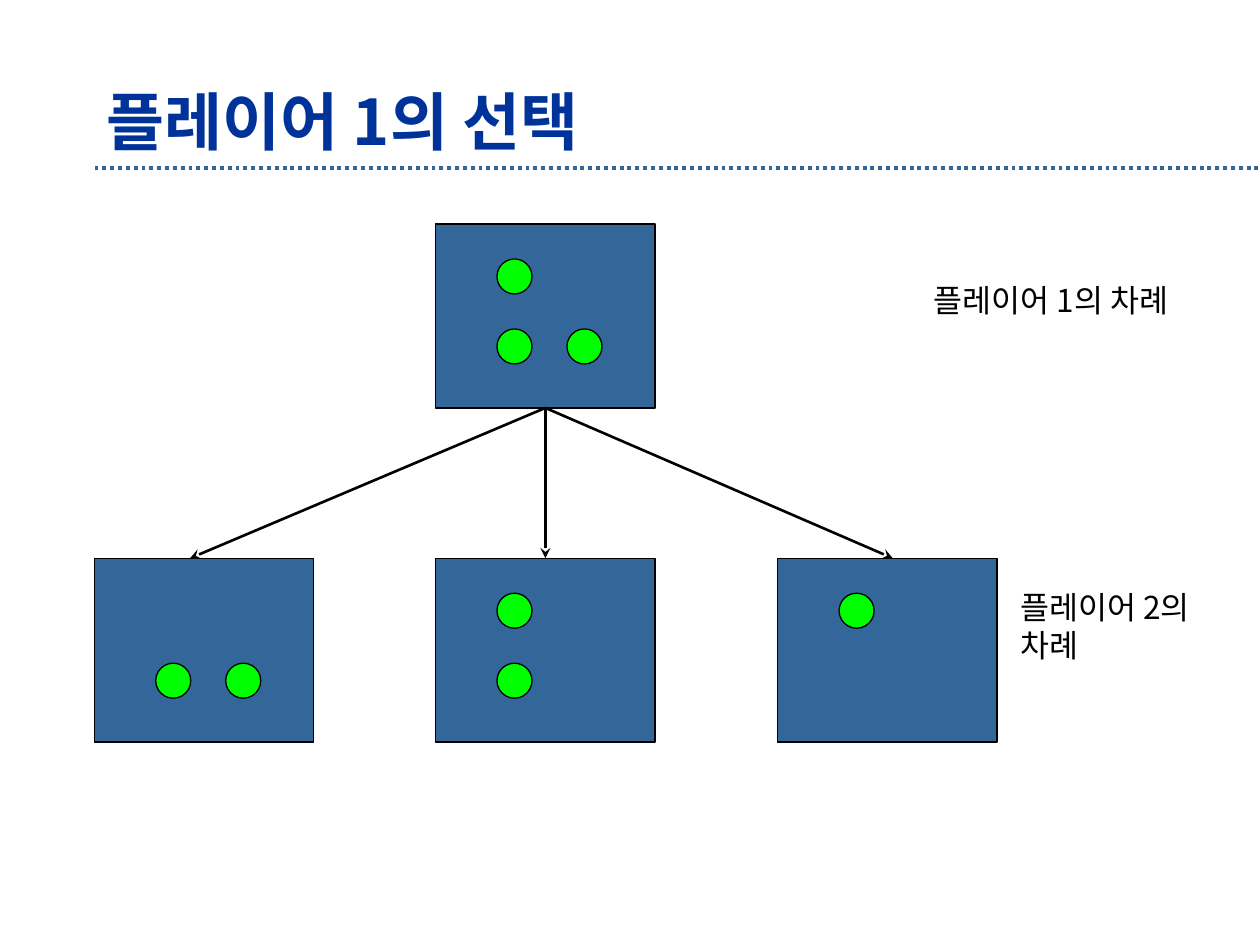
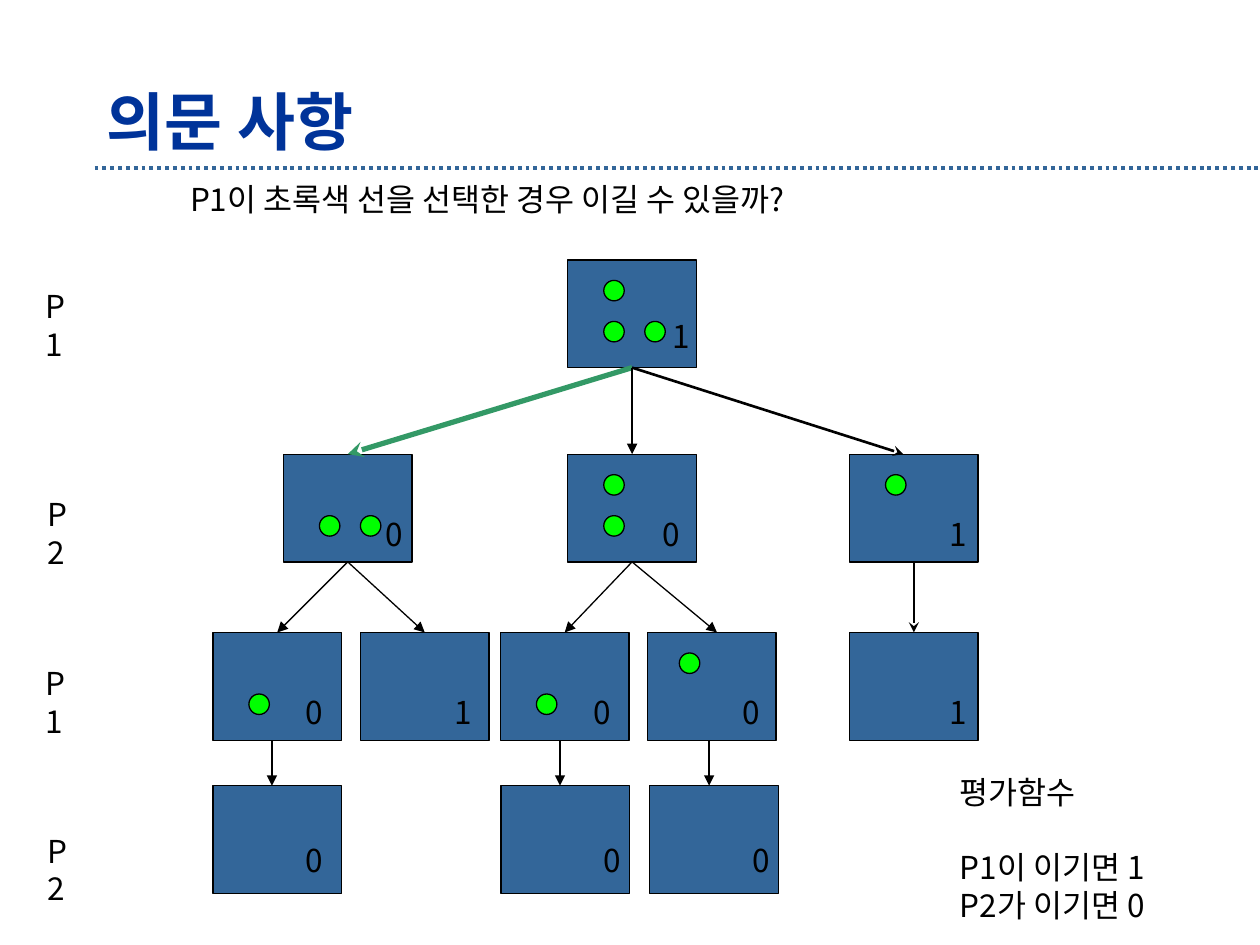
from lxml import etree
from pptx import Presentation
from pptx.dml.color import RGBColor
from pptx.enum.dml import MSO_LINE
from pptx.enum.shapes import MSO_CONNECTOR, MSO_SHAPE
from pptx.enum.text import MSO_ANCHOR
from pptx.oxml.ns import qn
from pptx.util import Pt

RECT, OVAL = MSO_SHAPE.RECTANGLE, MSO_SHAPE.OVAL
LINE = MSO_CONNECTOR.STRAIGHT
DOTS = MSO_LINE.ROUND_DOT
MIDDLE, TOP = MSO_ANCHOR.MIDDLE, MSO_ANCHOR.TOP

BLACK = RGBColor(0x00, 0x00, 0x00)
NAVY = RGBColor(0x00, 0x33, 0x99)
STEEL = RGBColor(0x33, 0x66, 0x99)
LIME = RGBColor(0x00, 0xFF, 0x00)
GREEN = RGBColor(0x33, 0x99, 0x66)

FONT = "Noto Sans CJK KR"
HEAD = {"name": FONT, "size": Pt(36), "bold": True}
BODY = {"name": FONT, "size": Pt(18), "bold": False}

# Board measures at full scale; stones sit on a grid of (column, row)
WIDE, HIGH = 125.3, 105.1
STONE, STEP = 20, 40
LEFT, DOWN = 35, 20

# Boards: name: (x, y, stones, score), score: (text, dx, dy)
# Arrows: (from, to, shift at start, shift at end, colour, weight, head)
# Texts: (x, y, width, height, lines)
SLIDES = [
    {
        "title": "플레이어 1의 선택",
        "scale": 1,
        "boards": {
            "root": (249, 128, [(0, 0), (0, 1), (1, 1)], None),
            "left": (54, 319, [(0, 1), (1, 1)], None),
            "mid": (249, 319, [(0, 0), (0, 1)], None),
            "right": (444.5, 319, [(0, 0)], None),
        },
        "arrows": [
            ("root", "left", 0, -8, BLACK, 1.5, "stealth"),
            ("root", "mid", 0, 0, BLACK, 1.5, "stealth"),
            ("root", "right", 0, 3, BLACK, 1.5, "stealth"),
        ],
        "texts": [
            (526.5, 157, 159, 29, ["플레이어 1의 차례"]),
            (576, 332.5, 126, 50, ["플레이어 2의", "차례"]),
        ],
    },
    {
        "title": "의문 사항",
        "scale": 0.586,
        "boards": {
            "root": (324.5, 148.5, [(0, 0), (0, 1), (1, 1)], ("1", 52.5, 29)),
            "left": (162, 259.5, [(0, 1), (1, 1)], ("0", 51, 31)),
            "mid": (324.5, 259.5, [(0, 0), (0, 1)], ("0", 47, 31)),
            "right": (485.5, 259.5, [(0, 0)], ("1", 50, 31)),
            "left a": (121.7, 361.4, [(0, 1)], ("0", 46, 31)),
            "left b": (206, 361.4, [], ("1", 46.5, 31)),
            "mid a": (286, 361.4, [(0, 1)], ("0", 46, 31)),
            "mid b": (370, 361.4, [(-0.1, 0)], ("0", 47, 31)),
            "right a": (485.5, 361.4, [], ("1", 50, 31)),
            "left end": (121.7, 449, [], ("0", 46, 28)),
            "mid end": (286.3, 449, [], ("0", 51.5, 28)),
            "last end": (371.3, 449, [], ("0", 51.5, 28)),
        },
        "arrows": [
            ("root", "left", 0, 0, GREEN, 3, "stealth"),
            ("root", "mid", 0, 0, BLACK, 1.5, "triangle"),
            ("root", "right", 0, -6, BLACK, 1.5, "stealth"),
            ("left", "left a", 0, 0, BLACK, 0.75, "triangle"),
            ("left", "left b", 0, 0, BLACK, 0.75, "triangle"),
            ("mid", "mid a", 0, 0, BLACK, 0.75, "triangle"),
            ("mid", "mid b", 0, 3, BLACK, 0.75, "triangle"),
            ("right", "right a", 0, 0, BLACK, 1.5, "stealth"),
            ("left a", "left end", -3, -3, BLACK, 0.75, "triangle"),
            ("mid a", "mid end", -2.7, -3, BLACK, 0.75, "triangle"),
            ("mid b", "last end", -1.5, -2.8, BLACK, 0.75, "triangle"),
        ],
        "texts": [
            (18.7, 160.5, 35.3, 29, ["P1"]),
            (20, 279.5, 35.3, 29, ["P2"]),
            (18.7, 376, 35.3, 29, ["P1"]),
            (20, 471.6, 35.3, 29, ["P2"]),
            (541.5, 438, 130, 94, ["평가함수", "P1이 이기면 1", "P2가 이기면 0"]),
            (101.5, 99.4, 368.6, 29, ["P1이 초록색 선을 선택한 경우 이길 수 있을까?"]),
        ],
    },
]


def write(slide, x, y, w, h, lines, form=BODY, color=BLACK, anchor=TOP):
    box = slide.shapes.add_textbox(Pt(x), Pt(y), Pt(w), Pt(h))
    frame = box.text_frame
    frame.word_wrap = True
    frame.vertical_anchor = anchor
    for i, line in enumerate(lines):
        par = frame.paragraphs[0] if i == 0 else frame.add_paragraph()
        # Three lines make a heading, a gap and two rules
        if len(lines) == 3 and i == 1:
            par.space_before = Pt(21.6)
        run = par.add_run()
        run.text = line
        for key, value in form.items():
            setattr(run.font, key, value)
        run.font.color.rgb = color
        east = etree.SubElement(run.font._element, qn("a:ea"))
        east.set("typeface", FONT)


def draw(slide, x1, y1, x2, y2, color, weight):
    """Add a straight line without a shadow."""
    line = slide.shapes.add_connector(LINE, Pt(x1), Pt(y1), Pt(x2), Pt(y2))
    line.line.color.rgb = color
    line.line.width = Pt(weight)
    etree.SubElement(line._element.spPr, qn("a:effectLst"))
    return line


deck = Presentation()
deck.slide_width, deck.slide_height = Pt(720), Pt(540)

for data in SLIDES:
    slide = deck.slides.add_slide(deck.slide_layouts[6])
    rule = draw(slide, 54, 96, 720, 96, STEEL, 2.25)
    rule.line.dash_style = DOTS
    write(slide, 54, 48, 618, 42, [data["title"]], HEAD, NAVY, MIDDLE)

    scale = data["scale"]
    wide, high, size = WIDE * scale, HIGH * scale, STONE * scale
    boards = {}
    for name, (x, y, stones, score) in data["boards"].items():
        parts = [(RECT, x, y, wide, high, STEEL)]
        for col, row in stones:
            left = x + (LEFT + col * STEP) * scale
            top = y + (DOWN + row * STEP) * scale
            parts.append((OVAL, left, top, size, size, LIME))
        for kind, left, top, w, h, fill in parts:
            part = slide.shapes.add_shape(kind, Pt(left), Pt(top), Pt(w), Pt(h))
            part.shadow.inherit = False
            part.fill.solid()
            part.fill.fore_color.rgb = fill
            part.line.color.rgb = BLACK
            part.line.width = Pt(0.75)
            if kind == RECT:
                boards[name] = part
        if score:
            text, dx, dy = score
            write(slide, x + dx, y + dy, 24.5, 29, [text])

    for start, end, out, into, color, weight, head in data["arrows"]:
        x1, y1 = data["boards"][start][:2]
        x2, y2 = data["boards"][end][:2]
        arrow = draw(slide, x1 + wide / 2 + out, y1 + high,
                     x2 + wide / 2 + into, y2, color, weight)
        if out == 0:
            arrow.begin_connect(boards[start], 2)
        if into == 0:
            arrow.end_connect(boards[end], 0)
        tip = etree.SubElement(arrow.line._get_or_add_ln(), qn("a:tailEnd"))
        tip.set("type", head)

    for item in data["texts"]:
        write(slide, *item)

deck.save("out.pptx")
